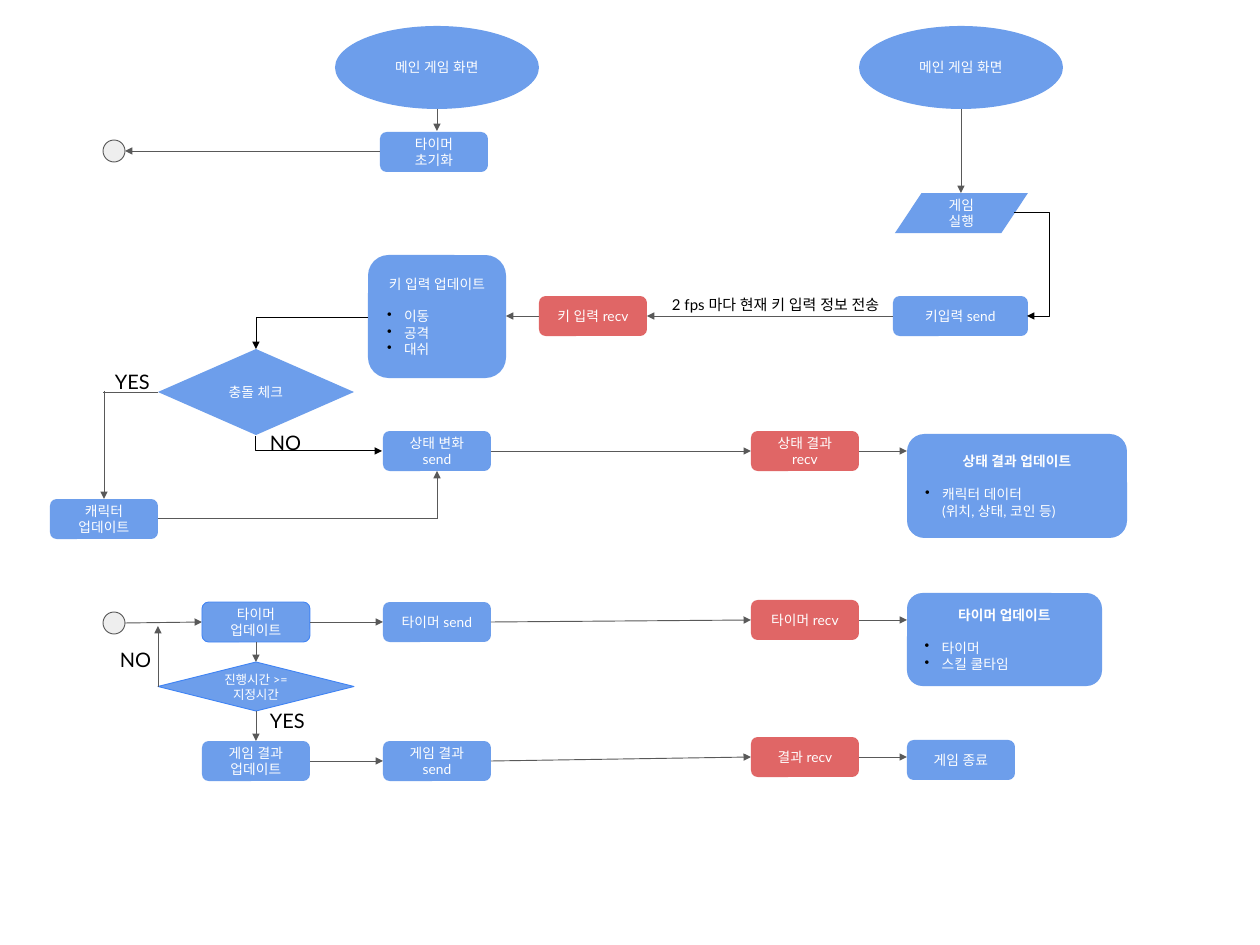
from dataclasses import dataclass

from lxml.etree import SubElement
from pptx import Presentation
from pptx.dml.color import RGBColor
from pptx.enum.shapes import MSO_CONNECTOR as CONN, MSO_SHAPE as SHAPE
from pptx.enum.text import MSO_ANCHOR as ANCHOR, MSO_AUTO_SIZE as FIT, PP_ALIGN as ALIGN
from pptx.oxml.ns import qn
from pptx.slide import Slide
from pptx.util import Emu, Pt

C = {"blue": "6D9EEB", "red": "E06666", "edge": "4285F4", "gray": "595959",
     "pale": "EEEEEE", "white": "FFFFFF", "black": "000000"}
FONT = "Lato"
STEP = (108, 40)
TAG = (71, 50)
START = (204, 83)
DECISION_W = 196


def px(n):
    """Turn slide pixels, 90 to the inch, into EMU."""
    return Emu(n * 10160)


def rgb(name):
    """Look up a palette colour."""
    return RGBColor.from_string(C[name])


def style_text(p, size, color, bold=False):
    """Format every run of a paragraph."""
    for r in p.runs:
        r.font.size, r.font.name, r.font.bold = Pt(size), FONT, bold
        r.font.color.rgb = rgb(color)
        SubElement(r.font._element, qn("a:ea"), typeface=FONT)


def set_insets(tf, x, y):
    """Wrap a text frame and set its margins."""
    tf.word_wrap = True
    tf.margin_left = tf.margin_right = px(x)
    tf.margin_top = tf.margin_bottom = px(y)


def indent(p, bullet):
    """Indent a list paragraph, with a black bullet if asked."""
    pPr = p._p.get_or_add_pPr()
    pPr.set("marL", str(px(17)))
    pPr.set("indent", str(px(-17 if bullet else 0)))
    if bullet:
        SubElement(SubElement(pPr, qn("a:buClr")), qn("a:srgbClr"), val=C["black"])
        SubElement(pPr, qn("a:buChar"), char="•")


@dataclass
class Region:
    """A part of the slide whose lengths are relative to its corner."""
    s: Slide
    x: int
    y: int

    def place(self, x, y):
        """Turn a relative point into slide EMU."""
        return px(self.x + x), px(self.y + y)

    def node(self, x, y, size, text="", kind=SHAPE.ROUNDED_RECTANGLE,
             fill="blue", edge=None, pt=11):
        """Add a flowchart shape with centred text."""
        sp = self.s.shapes.add_shape(kind, *self.place(x, y), *map(px, size))
        sp.shadow.inherit = False
        sp.fill.solid()
        sp.fill.fore_color.rgb = rgb(fill)
        if edge:
            sp.line.color.rgb = rgb(edge)
            sp.line.width = Pt(0.75)
        else:
            sp.line.fill.background()
        tf = sp.text_frame
        set_insets(tf, 13, 13)
        tf.vertical_anchor = ANCHOR.MIDDLE
        if text:
            p = tf.paragraphs[0]
            p.text, p.alignment = text, ALIGN.CENTER
            style_text(p, pt, "white")
        return sp

    def panel(self, x, y, size, title, items, detail=None, bold=True):
        """Add a rounded panel with a heading and a bulleted list."""
        tf = self.node(x, y, size, title).text_frame
        head = tf.paragraphs[0]
        head.space_after = Pt(13)
        head.runs[0].font.bold = bold
        for text in items + ([detail] if detail else []):
            p = tf.add_paragraph()
            p.text, p.alignment = text, ALIGN.LEFT
            p.level = int(text == detail)
            indent(p, text != detail)
            style_text(p, 11, "white")

    def dot(self, x, y):
        """Add a round jump marker."""
        self.node(x, y, (22, 22), kind=SHAPE.FLOWCHART_CONNECTOR, fill="pale", edge="gray")

    def label(self, x, y, size, text, pt=16, inset=13):
        """Add a free label."""
        tf = self.s.shapes.add_textbox(*self.place(x, y), *map(px, size)).text_frame
        set_insets(tf, 13, inset)
        tf.auto_size = FIT.SHAPE_TO_FIT_TEXT
        tf.text = text
        style_text(tf.paragraphs[0], pt, "black")

    def line(self, x1, y1, x2, y2, arrow=True, kind=CONN.STRAIGHT, color="gray"):
        """Add a connector, usually ending in an arrowhead."""
        c = self.s.shapes.add_connector(kind, *self.place(x1, y1), *self.place(x2, y2))
        c.line.color.rgb = rgb(color)
        c.line.width = Pt(0.75)
        if arrow:
            SubElement(c.line._get_or_add_ln(), qn("a:tailEnd"), type="triangle")
        SubElement(c._element.spPr, qn("a:effectLst"))
        return c

    def elbow(self, x1, y1, x2, y2, bends=1, rot=0, adj=None):
        """Add a black bent arrow."""
        spPr = self.line(x1, y1, x2, y2, kind=CONN.ELBOW, color="black")._element.spPr
        geom = spPr.find(qn("a:prstGeom"))
        geom.set("prst", f"bentConnector{bends + 1}")
        if rot:
            spPr.find(qn("a:xfrm")).set("rot", str(rot * 60000))
        if adj:
            SubElement(geom.find(qn("a:avLst")), qn("a:gd"), name="adj1", fmla=f"val {adj}")


def server_start(g):
    """Place the server start and the timer reset."""
    g.node(232, 0, START, "메인 게임 화면", SHAPE.OVAL)
    g.line(334, 83, 334, 105)
    g.node(277, 106, STEP, "타이머 초기화")
    g.line(277, 125, 22, 125)
    g.dot(0, 114)


def client_input(g):
    """Place the client start and its key sending."""
    g.node(0, 0, START, "메인 게임 화면", SHAPE.OVAL)
    g.line(102, 83, 102, 167)
    g.node(36, 167, (133, 40), "게임 실행", SHAPE.FLOWCHART_DATA)
    g.node(34, 270, (135, 40), "키입력 send")
    g.elbow(155, 186, 168, 290, bends=2, adj=269200)


def collision_flow(g):
    """Place the key update, the collision check and the state exchange."""
    g.node(489, 41, STEP, "키 입력 recv", fill="red")
    g.line(843, 61, 597, 61)
    g.panel(318, 0, (138, 123), "키 입력 업데이트", ["이동", "공격", "대쉬"], bold=False)
    g.line(489, 61, 456, 61)
    g.node(108, 94, (DECISION_W, 86), "충돌 체크", SHAPE.FLOWCHART_DECISION)
    g.elbow(318, 62, 206, 94)
    g.elbow(276, 125, 261, 252, rot=270)
    g.node(333, 176, STEP, "상태 변화 send")
    g.line(441, 196, 701, 196)
    g.node(701, 176, STEP, "상태 결과 recv", fill="red")
    g.line(809, 196, 857, 196)
    g.panel(857, 179, (220, 104), "상태 결과 업데이트", ["캐릭터 데이터"],
            "(위치, 상태, 코인 등)")
    g.label(207, 163, (127, 50), "NO")
    g.label(52, 102, TAG, "YES")
    g.line(108, 137, 53, 137, arrow=False)
    g.line(54, 136, 54, 244)
    g.node(0, 244, STEP, "캐릭터 업데이트")
    g.line(108, 263, 387, 263, arrow=False)
    g.line(387, 264, 387, 216)
    g.label(609, 35, (238, 31), "2 fps 마다 현재 키 입력 정보 전송", pt=12, inset=6)


def exchange(g, y, recv_y, update, send, recv, edge=None):
    """Place one row that updates, sends and receives."""
    mid, recv_mid = y + 20, recv_y + 20
    g.node(99, y, STEP, update, edge=edge)
    g.line(207, mid, 280, mid)
    g.node(280, y, STEP, send)
    g.line(388, mid, 648, recv_mid)
    g.node(648, recv_y, STEP, recv, fill="red")
    g.line(756, recv_mid, 804, recv_mid)


def timer_flow(g):
    """Place the timer loop and the end of the game."""
    g.dot(0, 19)
    g.line(22, 30, 99, 29)
    exchange(g, 9, 7, "타이머 업데이트", "타이머 send", "타이머 recv", edge="edge")
    g.panel(804, 0, (195, 93), "타이머 업데이트", ["타이머", "스킬 쿨타임"])
    g.line(153, 49, 153, 69)
    g.node(55, 69, (DECISION_W, 49), "진행시간 >= 지정시간", SHAPE.FLOWCHART_DECISION,
           edge="edge", pt=10)
    g.line(153, 118, 153, 148)
    g.label(154, 103, TAG, "YES")
    g.label(4, 42, TAG, "NO")
    g.line(55, 94, 55, 33)
    exchange(g, 148, 144, "게임 결과 업데이트", "게임 결과 send", "결과 recv")
    g.node(804, 147, STEP, "게임 종료")


def main():
    """Build the flowchart slide."""
    prs = Presentation()
    prs.slide_width, prs.slide_height = px(1260), px(945)
    s = prs.slides.add_slide(prs.slide_layouts[6])
    server_start(Region(s, 103, 26))
    client_input(Region(s, 859, 26))
    collision_flow(Region(s, 50, 255))
    timer_flow(Region(s, 103, 593))
    prs.save("out.pptx")


if __name__ == "__main__":
    main()
